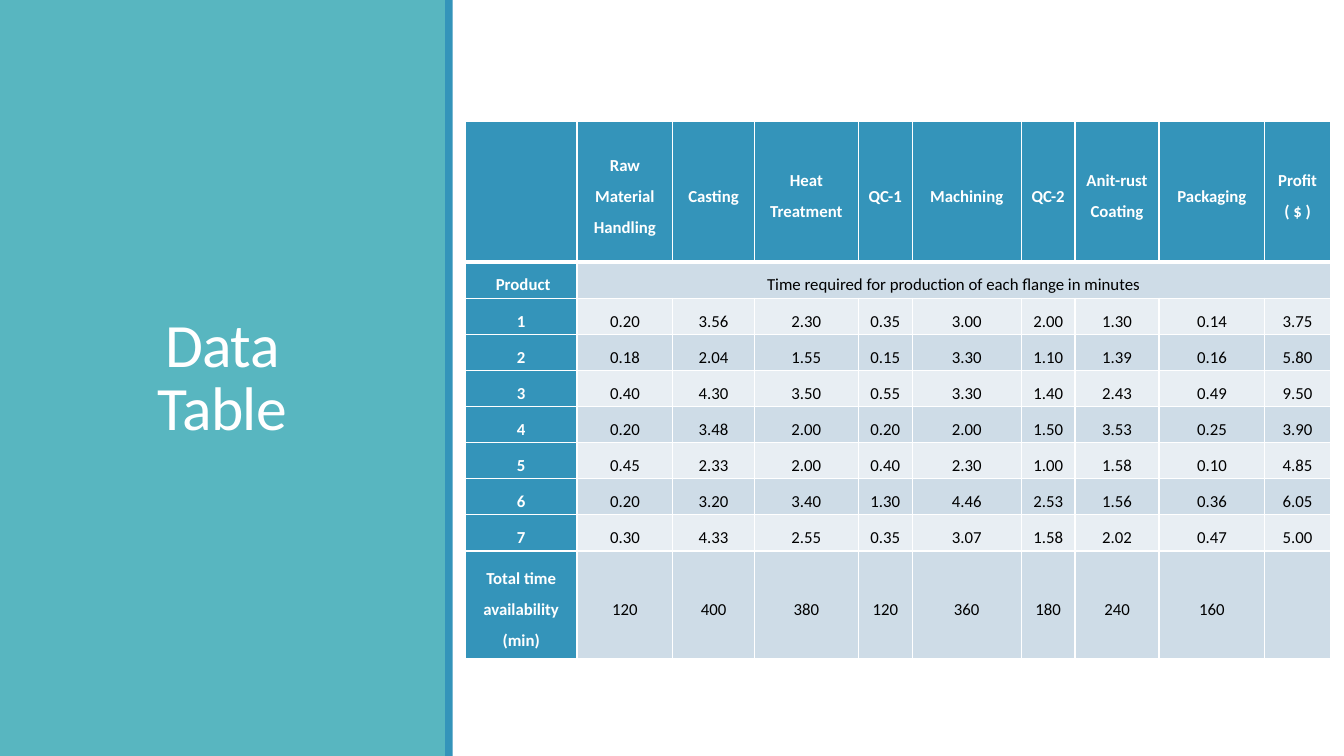
from lxml import etree
from pptx import Presentation
from pptx import util as u
from pptx.dml.color import RGBColor
from pptx.enum import shapes, text
from pptx.oxml import ns

PX = 7620
WHITE = RGBColor(0xFF, 0xFF, 0xFF)
BLACK = RGBColor(0, 0, 0)
TEAL = RGBColor(0x58, 0xB6, 0xC0)
BLUE = RGBColor(0x34, 0x94, 0xBA)
DARK = RGBColor(0xCE, 0xDC, 0xE7)
LIGHT = RGBColor(0xE8, 0xEE, 0xF3)
FONT = "Calibri"

COLS = [133, 114, 97, 124, 64, 130, 64, 100, 126, 78]
ROWS = [168] + [43] * 8 + [128]
HEADS = ["", "Raw Material Handling", "Casting", "Heat Treatment", "QC-1",
         "Machining", "QC-2", "Anit-rust Coating", "Packaging", "Profit\n( $ )"]
SPAN = "Time required for production of each flange in minutes"
TIMES = """0.20 3.56 2.30 0.35 3.00 2.00 1.30 0.14 3.75
0.18 2.04 1.55 0.15 3.30 1.10 1.39 0.16 5.80
0.40 4.30 3.50 0.55 3.30 1.40 2.43 0.49 9.50
0.20 3.48 2.00 0.20 2.00 1.50 3.53 0.25 3.90
0.45 2.33 2.00 0.40 2.30 1.00 1.58 0.10 4.85
0.20 3.20 3.40 1.30 4.46 2.53 1.56 0.36 6.05
0.30 4.33 2.55 0.35 3.07 1.58 2.02 0.47 5.00"""
TOTALS = "120 400 380 120 360 180 240 160".split()
DATA = [HEADS, [" Product", SPAN] + [""] * 8]
DATA += [[str(num)] + line.split() for num, line in enumerate(TIMES.splitlines(), 1)]
DATA += [["Total time availability (min)"] + TOTALS + [""]]


def scale(*box):
    return [u.Emu(n * PX) for n in box]


def style(par, size, color, bold, space):
    par.alignment = text.PP_ALIGN.CENTER
    par.line_spacing = space
    for run in par.runs:
        font = run.font
        font.name, font.size, font.bold = FONT, u.Pt(size), bold
        font.color.rgb = color


def add_bar(slide, box, color):
    bar = slide.shapes.add_shape(shapes.MSO_SHAPE.RECTANGLE, *scale(*box))
    bar.shadow.inherit = False
    bar.fill.solid()
    bar.fill.fore_color.rgb = color
    bar.line.fill.background()


def add_panel(slide, box):
    left, top, width, height = box
    add_bar(slide, (left, top, width - 7, height), TEAL)
    add_bar(slide, (left + width - 9, top, 9, height), BLUE)
    title = slide.shapes.add_textbox(*scale(left + 48, top + 119, 434, 414))
    frame = title.text_frame
    frame.word_wrap = True
    frame.vertical_anchor = text.MSO_ANCHOR.BOTTOM
    frame.text = "Data\vTable"
    par = frame.paragraphs[0]
    style(par, 44, WHITE, False, 0.85)
    for run in par.runs:
        run.font._element.set("spc", "-50")


def add_edges(cell, row):
    props = cell._tc.get_or_add_tcPr()
    wide = {"T": 3 if row == 1 else 1, "B": 3 if row == 0 else 1}
    for side in "LRTB":
        line = etree.SubElement(props, ns.qn("a:ln" + side), w=str(u.Pt(wide.get(side, 1))))
        fill = etree.SubElement(line, ns.qn("a:solidFill"))
        etree.SubElement(fill, ns.qn("a:srgbClr"), val=str(WHITE))


def fill_cell(cell, words, row, col):
    head = row == 0 or col == 0
    add_edges(cell, row)
    cell.fill.solid()
    cell.fill.fore_color.rgb = BLUE if head else DARK if row % 2 else LIGHT
    cell.vertical_anchor = text.MSO_ANCHOR.MIDDLE
    cell.margin_left = cell.margin_right = u.Emu(7 * PX)
    cell.margin_top = cell.margin_bottom = 0
    if words:
        cell.text_frame.text = words
        for par in cell.text_frame.paragraphs:
            style(par, 12, WHITE if head else BLACK, head, 1.5)


def add_times(slide, left, top):
    box = scale(left, top, sum(COLS), sum(ROWS))
    table = slide.shapes.add_table(len(ROWS), len(COLS), *box).table
    table.horz_banding = False
    for col, width in zip(table.columns, COLS):
        col.width = u.Emu(width * PX)
    for row, height in zip(table.rows, ROWS):
        row.height = u.Emu(height * PX)
    for row, line in enumerate(DATA):
        for col, words in enumerate(line):
            fill_cell(table.cell(row, col), words, row, col)
    table.cell(1, 1).merge(table.cell(1, len(COLS) - 1))


def main():
    deck = Presentation()
    deck.slide_width, deck.slide_height = scale(1600, 900)
    slide = deck.slides.add_slide(deck.slide_layouts[6])
    add_panel(slide, (0, 0, 539, 900))
    add_times(slide, 554, 144)
    deck.save("out.pptx")


if __name__ == "__main__":
    main()
